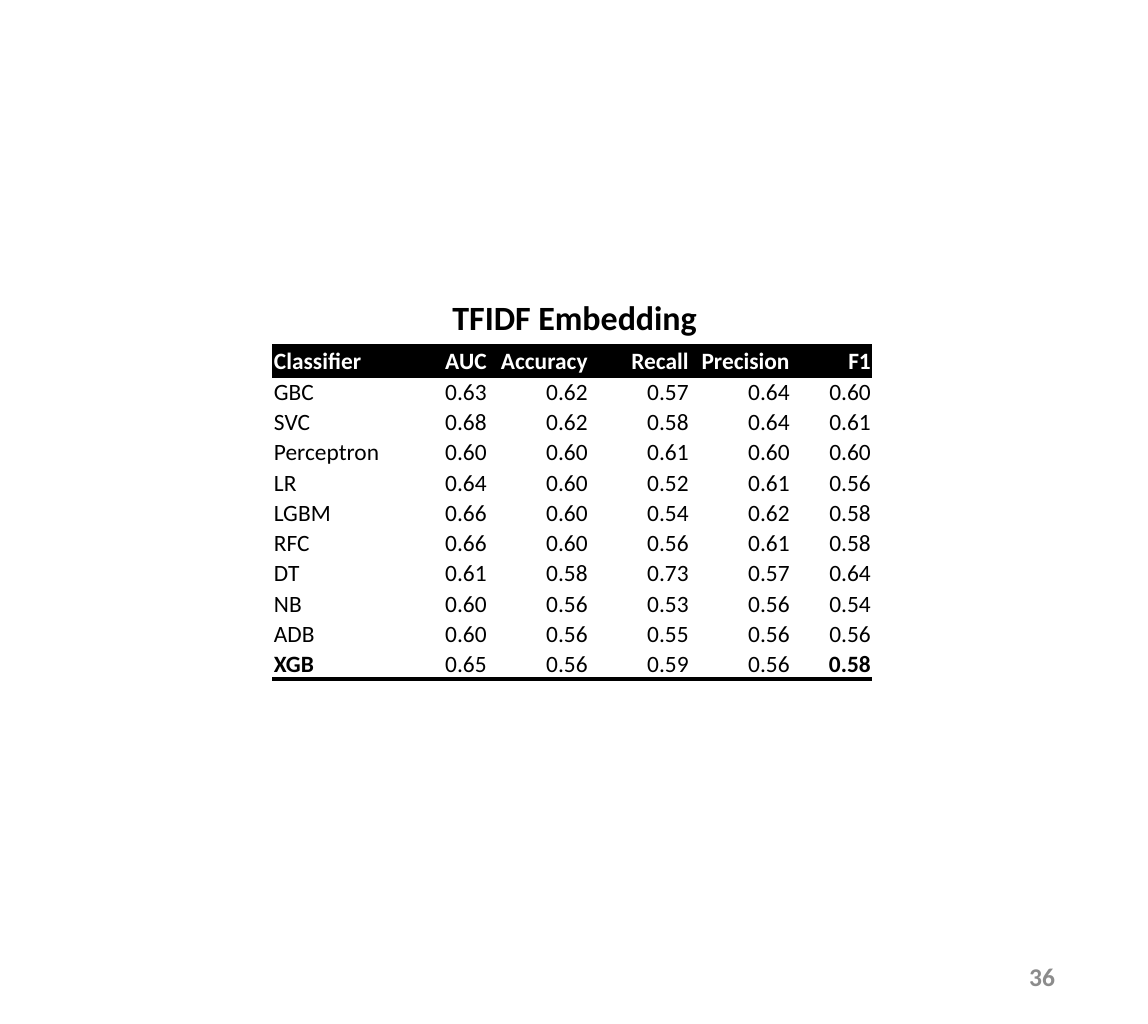
from lxml.etree import SubElement
from pptx import Presentation
from pptx.dml.color import RGBColor
from pptx.enum.text import MSO_ANCHOR, MSO_AUTO_SIZE, PP_ALIGN
from pptx.oxml.ns import qn
from pptx.util import Inches, Pt

TITLE = "TFIDF Embedding"
PAGE = "36"
HEADER = ["Classifier", "AUC", "Accuracy", "Recall", "Precision", "F1"]
SCORES = [
    ("GBC", 0.63, 0.62, 0.57, 0.64, 0.60),
    ("SVC", 0.68, 0.62, 0.58, 0.64, 0.61),
    ("Perceptron", 0.60, 0.60, 0.61, 0.60, 0.60),
    ("LR", 0.64, 0.60, 0.52, 0.61, 0.56),
    ("LGBM", 0.66, 0.60, 0.54, 0.62, 0.58),
    ("RFC", 0.66, 0.60, 0.56, 0.61, 0.58),
    ("DT", 0.61, 0.58, 0.73, 0.57, 0.64),
    ("NB", 0.60, 0.56, 0.53, 0.56, 0.54),
    ("ADB", 0.60, 0.56, 0.55, 0.56, 0.56),
    ("XGB", 0.65, 0.56, 0.59, 0.56, 0.58),
]
COL_WIDTHS = [0.75, 0.66, 0.66, 0.66, 0.66, 0.53]
TABLE_LEFT, TABLE_TOP, TABLE_HEIGHT = 1.78, 2.26, 2.18
BLACK, WHITE, GREY = "000000", "FFFFFF", "8C8C8C"
NO_STYLE = "{2D5ABB26-0587-4C30-8999-92F81FD0307C}"
CELL_FORMAT = {
    "vertical_anchor": MSO_ANCHOR.BOTTOM,
    "margin_left": Inches(0.01),
    "margin_right": Inches(0.01),
    "margin_top": Inches(0.01),
    "margin_bottom": 0,
}


def rgb(color):
    return RGBColor.from_string(color)


def apply(obj, values):
    for name, value in values.items():
        setattr(obj, name, value)


def write(tf, text, size, color, align, bold=True):
    p = tf.paragraphs[0]
    p.alignment = align
    r = p.add_run()
    r.text = text
    apply(r.font, {"name": "Calibri", "size": Pt(size), "bold": bold})
    r.font.color.rgb = rgb(color)


def place(sp, left, top, width, height):
    apply(sp, {"left": Inches(left), "top": Inches(top),
               "width": Inches(width), "height": Inches(height)})


def add_border(cell, side):
    ln = SubElement(cell._tc.get_or_add_tcPr(), qn("a:ln" + side), w=str(Pt(2)))
    fill = SubElement(ln, qn("a:solidFill"))
    SubElement(fill, qn("a:srgbClr"), val=BLACK)


def add_scores(s):
    rows = [HEADER] + [[row[0]] + [f"{v:.2f}" for v in row[1:]] for row in SCORES]
    last = len(rows) - 1
    frame = s.shapes.add_table(
        len(rows), len(HEADER), Inches(TABLE_LEFT), Inches(TABLE_TOP),
        Inches(sum(COL_WIDTHS)), Inches(TABLE_HEIGHT))
    table = frame.table
    apply(table, {"first_row": False, "horz_banding": False})
    table._tbl.tblPr.find(qn("a:tableStyleId")).text = NO_STYLE
    for col, width in zip(table.columns, COL_WIDTHS):
        col.width = Inches(width)
    for i, row in enumerate(rows):
        table.rows[i].height = Inches(TABLE_HEIGHT / len(rows))
        head = i == 0
        sides = "TB" if head else "B" if i == last else ""
        for j, text in enumerate(row):
            cell = table.cell(i, j)
            apply(cell, CELL_FORMAT)
            for side in sides:
                add_border(cell, side)
            cell.fill.solid()
            cell.fill.fore_color.rgb = rgb(BLACK if head else WHITE)
            bold = head or (i == last and j in (0, len(row) - 1))
            write(cell.text_frame, text, 11, WHITE if head else BLACK,
                  PP_ALIGN.RIGHT if j else PP_ALIGN.LEFT, bold)


def main():
    prs = Presentation()
    apply(prs, {"slide_width": Inches(7.5), "slide_height": Inches(6.69)})
    s = prs.slides.add_slide(prs.slide_layouts[5])

    title = s.shapes.title
    place(title, 1.88, 1.89, 3.75, 0.37)
    apply(title.text_frame, {"vertical_anchor": MSO_ANCHOR.TOP, "word_wrap": True,
                             "auto_size": MSO_AUTO_SIZE.SHAPE_TO_FIT_TEXT})
    write(title.text_frame, TITLE, 16, BLACK, PP_ALIGN.CENTER)

    number = s.shapes.add_textbox(0, 0, 0, 0)
    place(number, 5.3, 6.2, 1.69, 0.36)
    apply(number.text_frame, {"vertical_anchor": MSO_ANCHOR.MIDDLE, "word_wrap": True})
    write(number.text_frame, PAGE, 12, GREY, PP_ALIGN.RIGHT)

    add_scores(s)
    prs.save("out.pptx")


if __name__ == "__main__":
    main()
